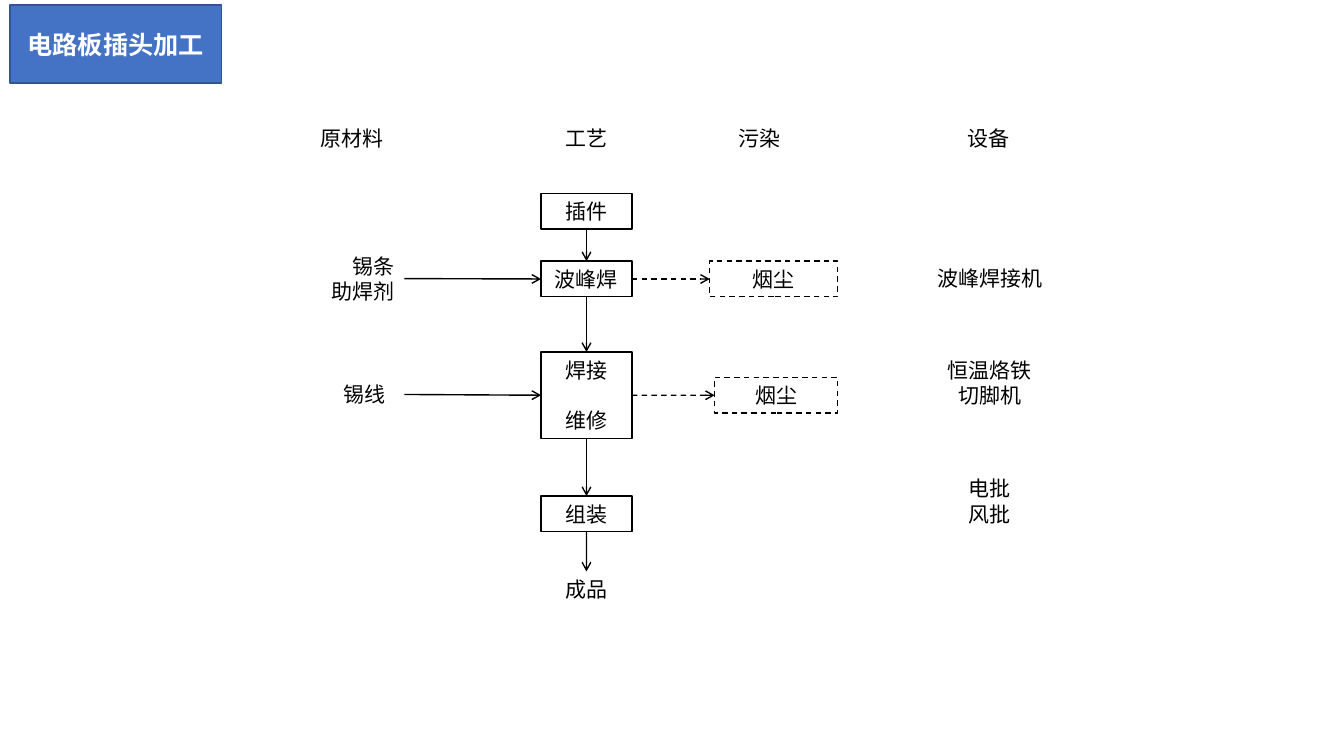
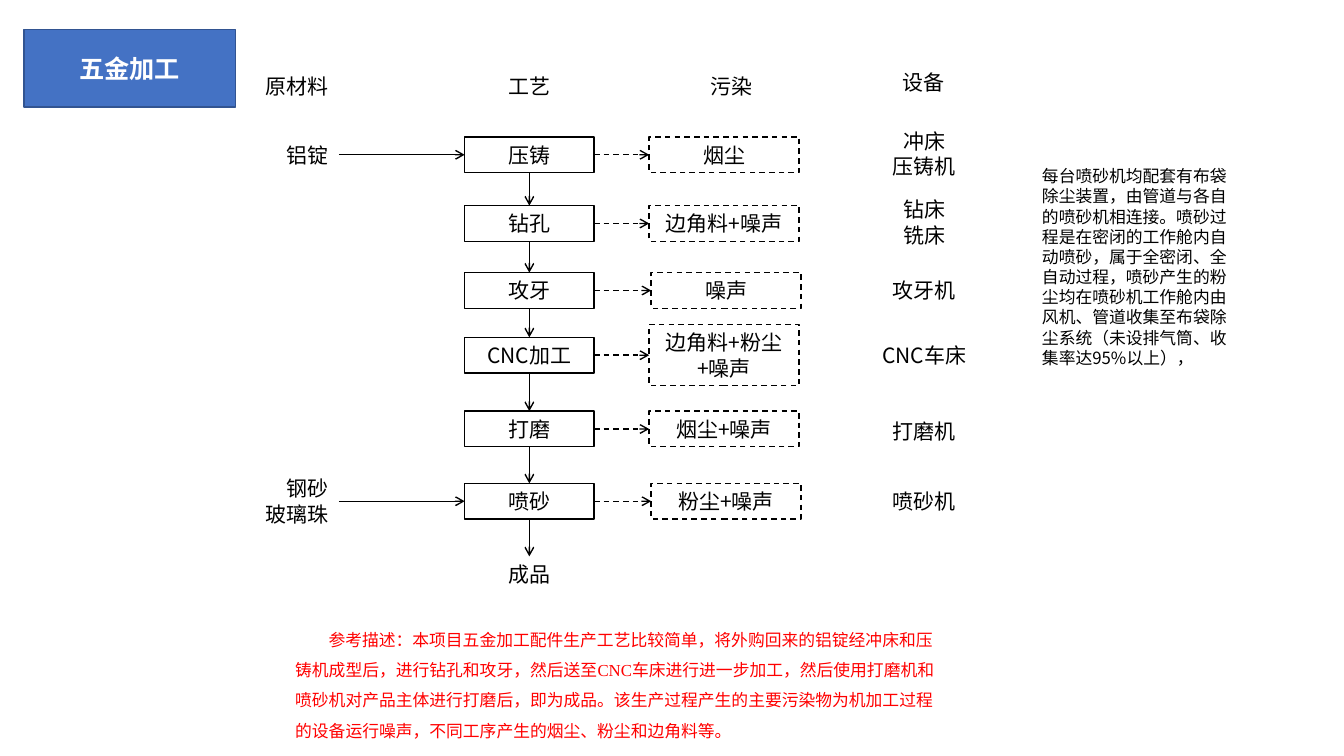
from dataclasses import dataclass
from typing import Optional

from lxml.etree import SubElement
from pptx import Presentation
from pptx.dml.color import RGBColor
from pptx.enum.dml import MSO_LINE
from pptx.enum.shapes import MSO_CONNECTOR, MSO_SHAPE
from pptx.enum.text import MSO_ANCHOR, MSO_AUTO_SIZE, PP_ALIGN
from pptx.oxml.ns import qn
from pptx.shapes.autoshape import Shape
from pptx.shapes.connector import Connector
from pptx.slide import Slide
from pptx.util import Cm, Pt

BLACK = RGBColor(0x00, 0x00, 0x00)
WHITE = RGBColor(0xFF, 0xFF, 0xFF)
RED = RGBColor(0xFF, 0x00, 0x00)
TITLE_BLUE = RGBColor(0x44, 0x72, 0xC4)
TITLE_EDGE = RGBColor(0x32, 0x54, 0x91)

SANS = "Noto Sans CJK SC"
SERIF = "Times New Roman"
TOP, LEFT, BOTTOM, RIGHT = range(4)
TITLE_ONLY = 5
TITLE_WIDTH, TITLE_HEIGHT = 5.33, 1.96
LABEL_WIDTH = 3.43
LINE_HEIGHT, LABEL_PADDING = 0.64, 0.26


@dataclass(frozen=True)
class Label:
    text: str
    x: float
    y: float
    width: float = LABEL_WIDTH
    align: PP_ALIGN = PP_ALIGN.CENTER
    gap_lines: int = 0

    @property
    def height(self) -> float:
        count = len(self.text.split("\n")) + self.gap_lines
        return LABEL_PADDING + LINE_HEIGHT * count


@dataclass(frozen=True)
class Stage:
    process: Label
    material: Optional[Label] = None
    pollution: Optional[Label] = None
    equipment: Optional[Label] = None


@dataclass(frozen=True)
class Note:
    text: str
    left: float
    top: float
    width: float
    height: float
    color: RGBColor = BLACK
    latin: str = SANS
    line_spacing: float = 1.0
    indent: float = 0


@dataclass(frozen=True)
class Workshop:
    title: str
    title_left: float
    title_top: float
    headings: list[Label]
    stages: list[Stage]
    product: Label
    notes: list[Note]


def write_text(shape: Shape, text: str, *, size: float = 15, color: RGBColor = BLACK,
               latin: str = SANS, bold: bool = False,
               align: PP_ALIGN = PP_ALIGN.CENTER,
               anchor: MSO_ANCHOR = MSO_ANCHOR.MIDDLE,
               line_spacing: float = 1.0, gap: float = 0, indent: float = 0) -> None:
    frame = shape.text_frame
    frame.word_wrap = True
    frame.auto_size = MSO_AUTO_SIZE.NONE
    frame.vertical_anchor = anchor
    frame.text = text
    for index, paragraph in enumerate(frame.paragraphs):
        paragraph.alignment = align
        paragraph.line_spacing = line_spacing
        paragraph.space_before = Pt(gap if index else 0)
        if indent:
            paragraph._p.get_or_add_pPr().set("indent", str(Cm(indent)))
        for run in paragraph.runs:
            run.font.size = Pt(size)
            run.font.bold = bold
            run.font.color.rgb = color
            run.font.name = latin
            SubElement(run._r.get_or_add_rPr(), qn("a:ea"), typeface=SANS)


def add_title(slide: Slide, workshop: Workshop) -> None:
    title = slide.shapes.title
    title.left, title.top = Cm(workshop.title_left), Cm(workshop.title_top)
    title.width, title.height = Cm(TITLE_WIDTH), Cm(TITLE_HEIGHT)
    outline = SubElement(title._element.spPr, qn("a:prstGeom"), prst="roundRect")
    SubElement(outline, qn("a:avLst"))
    title.fill.solid()
    title.fill.fore_color.rgb = TITLE_BLUE
    title.line.color.rgb = TITLE_EDGE
    title.line.width = Pt(1)
    write_text(title, workshop.title, size=18, color=WHITE, bold=True)


def label_bounds(label: Label) -> tuple[Cm, Cm, Cm, Cm]:
    return (Cm(label.x - label.width / 2), Cm(label.y - label.height / 2),
            Cm(label.width), Cm(label.height))


def add_label(slide: Slide, label: Label) -> Shape:
    caption = slide.shapes.add_textbox(*label_bounds(label))
    write_text(caption, label.text, align=label.align)
    return caption


def add_box(slide: Slide, label: Label, dashed: bool = False) -> Shape:
    box = slide.shapes.add_shape(MSO_SHAPE.RECTANGLE, *label_bounds(label))
    box.shadow.inherit = False
    box.fill.solid()
    box.fill.fore_color.rgb = WHITE
    style_line(box, dashed)
    write_text(box, label.text, align=label.align, gap=18 * label.gap_lines)
    return box


def style_line(outlined: Shape | Connector, dashed: bool) -> None:
    outlined.line.color.rgb = BLACK
    outlined.line.width = Pt(1)
    if dashed:
        outlined.line.dash_style = MSO_LINE.DASH


def add_arrow(slide: Slide, source: Shape, source_side: int,
              target: Shape, target_side: int, dashed: bool = False) -> None:
    arrow = slide.shapes.add_connector(MSO_CONNECTOR.STRAIGHT, 0, 0, 0, 0)
    arrow.begin_connect(source, source_side)
    arrow.end_connect(target, target_side)
    style_line(arrow, dashed)
    SubElement(arrow.line._get_or_add_ln(), qn("a:tailEnd"), type="arrow")
    SubElement(arrow._element.spPr, qn("a:effectLst"))


def add_note(slide: Slide, note: Note) -> None:
    remark = slide.shapes.add_textbox(Cm(note.left), Cm(note.top),
                                      Cm(note.width), Cm(note.height))
    write_text(remark, note.text, size=12, color=note.color, latin=note.latin,
               align=PP_ALIGN.LEFT, anchor=MSO_ANCHOR.TOP,
               line_spacing=note.line_spacing, indent=note.indent)


def add_workshop(slide: Slide, workshop: Workshop) -> None:
    add_title(slide, workshop)
    for heading in workshop.headings:
        add_label(slide, heading)
    previous = None
    for stage in workshop.stages:
        process = add_box(slide, stage.process)
        if previous is not None:
            add_arrow(slide, previous, BOTTOM, process, TOP)
        if stage.material:
            material = add_label(slide, stage.material)
            add_arrow(slide, material, RIGHT, process, LEFT)
        if stage.pollution:
            pollution = add_box(slide, stage.pollution, dashed=True)
            add_arrow(slide, process, RIGHT, pollution, LEFT, dashed=True)
        if stage.equipment:
            add_label(slide, stage.equipment)
        previous = process
    product = add_label(slide, workshop.product)
    add_arrow(slide, previous, BOTTOM, product, TOP)
    for note in workshop.notes:
        add_note(slide, note)


def board_process(text: str, y: float, gap_lines: int = 0) -> Label:
    return Label(text, 14.78, y, 2.29, gap_lines=gap_lines)


def metal_stage(process: str, y: float, pollution: str, equipment: str,
                equipment_y: float, material: str = "",
                pollution_x: float = 18.25) -> Stage:
    return Stage(
        Label(process, 13.34, y, 3.26),
        Label(material, 7.23, y, 2.62, PP_ALIGN.RIGHT) if material else None,
        Label(pollution, pollution_x, y, 3.78),
        Label(equipment, 23.29, equipment_y),
    )


BOARD = Workshop(
    title="电路板插头加工", title_left=0.25, title_top=0.13,
    headings=[Label("原材料", 8.86, 3.49), Label("工艺", 14.78, 3.49),
              Label("污染", 19.15, 3.49), Label("设备", 24.92, 3.49)],
    stages=[
        Stage(board_process("插件", 5.32)),
        Stage(board_process("波峰焊", 7.03),
              Label("锡条\n助焊剂", 8.88, 7.02, 2.62, PP_ALIGN.RIGHT),
              Label("烟尘", 19.5, 7.03, 3.23),
              Label("波峰焊接机", 24.95, 7.02)),
        Stage(board_process("焊接\n维修", 9.96, gap_lines=1),
              Label("锡线", 9.18, 9.94, 2.02),
              Label("烟尘", 19.56, 9.96, 3.1),
              Label("恒温烙铁\n切脚机", 24.94, 9.64)),
        Stage(board_process("组装", 12.95),
              equipment=Label("电批\n风批", 24.94, 12.63)),
    ],
    product=Label("成品", 14.78, 14.85, 1.85),
    notes=[],
)

METAL = Workshop(
    title="五金加工", title_left=0.6, title_top=0.74,
    headings=[Label("原材料", 7.23, 2.17, 2.62, PP_ALIGN.RIGHT),
              Label("工艺", 13.34, 2.17), Label("污染", 18.44, 2.17),
              Label("设备", 23.27, 2.07)],
    stages=[
        metal_stage("压铸", 3.9, "烟尘", "冲床\n压铸机", 3.87, "铝锭"),
        metal_stage("钻孔", 5.63, "边角料+噪声", "钻床\n铣床", 5.6),
        metal_stage("攻牙", 7.32, "噪声", "攻牙机", 7.32, pollution_x=18.3),
        metal_stage("CNC加工", 8.95, "边角料+粉尘\n+噪声", "CNC车床", 8.95),
        metal_stage("打磨", 10.81, "烟尘+噪声", "打磨机", 10.87),
        metal_stage("喷砂", 12.63, "粉尘+噪声", "喷砂机", 12.63,
                    "钢砂\n玻璃珠", pollution_x=18.3),
    ],
    product=Label("成品", 13.34, 14.47, 3.26),
    notes=[
        Note("参考描述：本项目五金加工配件生产工艺比较简单，将外购回来的铝锭经冲床和压铸机成型后，"
             "进行钻孔和攻牙，然后送至CNC车床进行进一步加工，然后使用打磨机和喷砂机对产品主体进行打磨后，"
             "即为成品。该生产过程产生的主要污染物为机加工过程的设备运行噪声，"
             "不同工序产生的烟尘、粉尘和边角料等。",
             7.19, 15.49, 16.94, 3.33, RED, SERIF, line_spacing=1.5, indent=0.84),
        Note("每台喷砂机均配套有布袋除尘装置，由管道与各自的喷砂机相连接。"
             "喷砂过程是在密闭的工作舱内自动喷砂，属于全密闭、全自动过程，"
             "喷砂产生的粉尘均在喷砂机工作舱内由风机、管道收集至布袋除尘系统"
             "（未设排气筒、收集率达95%以上），",
             26.01, 4.06, 5.26, 5.38),
    ],
)


def main() -> None:
    presentation = Presentation()
    presentation.slide_width, presentation.slide_height = Cm(33.87), Cm(19.05)
    for workshop in (BOARD, METAL):
        slide = presentation.slides.add_slide(presentation.slide_layouts[TITLE_ONLY])
        add_workshop(slide, workshop)
    presentation.save("out.pptx")


if __name__ == "__main__":
    main()
